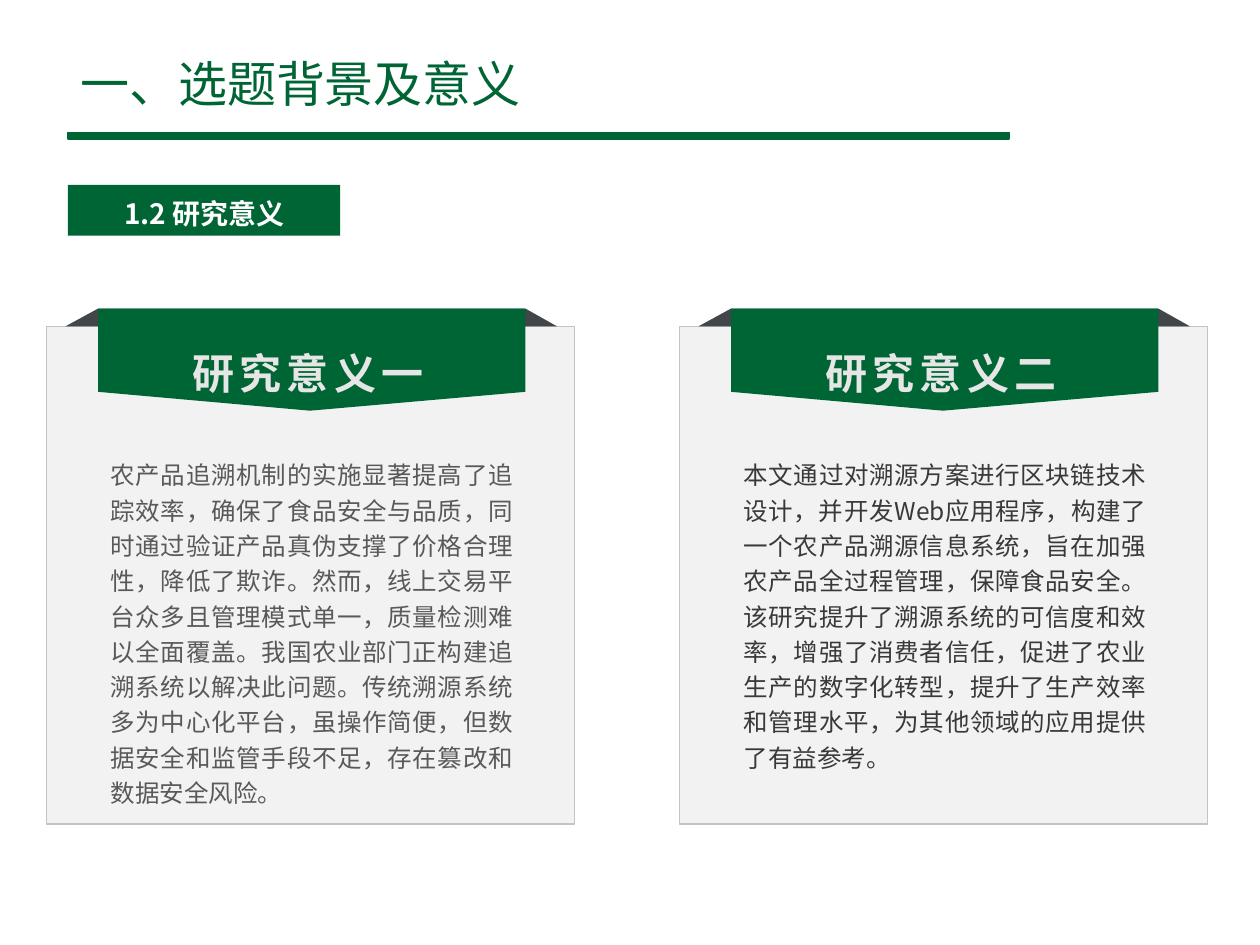
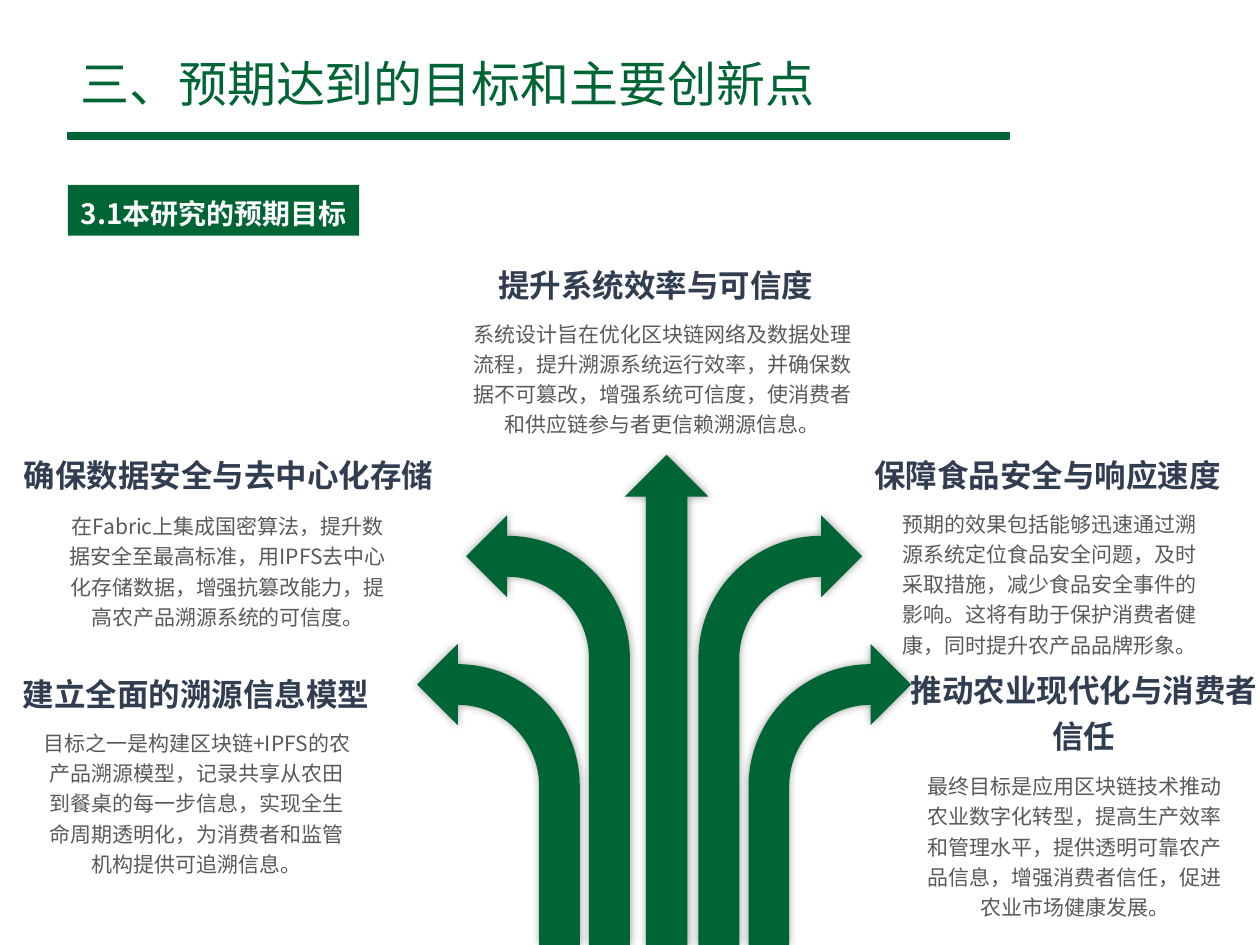
from lxml.etree import SubElement
from pptx import Presentation
from pptx.dml.color import RGBColor
from pptx.enum.shapes import MSO_SHAPE
from pptx.enum.text import MSO_ANCHOR, MSO_AUTO_SIZE, PP_ALIGN
from pptx.oxml.ns import qn
from pptx.util import Cm, Pt

FONT = "Noto Sans CJK SC"
GREEN = RGBColor(0x00, 0x65, 0x34)
WHITE = RGBColor(0xFF, 0xFF, 0xFF)
PANEL = RGBColor(0xF2, 0xF2, 0xF2)
PANEL_EDGE = RGBColor(0xC5, 0xC3, 0xC3)
FOLD = RGBColor(0x41, 0x46, 0x4A)
RIBBON_TEXT = RGBColor(0xE7, 0xE6, 0xE6)
GREY = RGBColor(0x59, 0x59, 0x59)
DARK = RGBColor(0x3B, 0x38, 0x38)
NAVY = RGBColor(0x31, 0x3D, 0x51)

SLIDE_WIDTH, SLIDE_HEIGHT = 25.4, 19.05
MARGIN = 1.37
CARD_LEFT, CARD_PITCH = 0.94, 12.76
ARROW_AXIS = 13.39

CARDS = [
    ("研究意义一", GREY, 8.66,
     "农产品追溯机制的实施显著提高了追踪效率，确保了食品安全与品质，同时通过验证产品真伪支撑了价格合理性，"
     "降低了欺诈。然而，线上交易平台众多且管理模式单一，质量检测难以全面覆盖。我国农业部门正构建追溯系统以"
     "解决此问题。传统溯源系统多为中心化平台，虽操作简便，但数据安全和监管手段不足，存在篡改和数据安全风险。"),
    ("研究意义二", DARK, 7.44,
     "本文通过对溯源方案进行区块链技术设计，并开发Web应用程序，构建了一个农产品溯源信息系统，旨在加强农产品"
     "全过程管理，保障食品安全。该研究提升了溯源系统的可信度和效率，增强了消费者信任，促进了农业生产的数字化"
     "转型，提升了生产效率和管理水平，为其他领域的应用提供了有益参考。"),
]

GOALS = [
    ("建立全面的溯源信息模型", (0.18, 13.34, 7.54, 1.17), False,
     "目标之一是构建区块链+IPFS的农产品溯源模型，记录共享从农田到餐桌的每一步信息，实现全生命周期透明化，"
     "为消费者和监管机构提供可追溯信息。", (0.56, 14.5, 6.81, 3.33)),
    ("确保数据安全与去中心化存储", (0.2, 8.92, 8.81, 1.17), False,
     "在Fabric上集成国密算法，提升数据安全至最高标准，用IPFS去中心化存储数据，增强抗篡改能力，"
     "提高农产品溯源系统的可信度。", (1.07, 10.13, 7.04, 2.72)),
    ("提升系统效率与可信度", (9.78, 5.08, 6.88, 1.17), False,
     "系统设计旨在优化区块链网络及数据处理流程，提升溯源系统运行效率，并确保数据不可篡改，增强系统可信度，"
     "使消费者和供应链参与者更信赖溯源信息。", (9.19, 6.25, 8.33, 2.72)),
    ("保障食品安全与响应速度", (17.35, 8.92, 7.54, 1.17), False,
     "预期的效果包括能够迅速通过溯源系统定位食品安全问题，及时采取措施，减少食品安全事件的影响。"
     "这将有助于保护消费者健康，同时提升农产品品牌形象。", (17.86, 10.08, 6.6, 3.33)),
    ("推动农业现代化与消费者信任", (18.08, 13.26, 7.54, 2.11), True,
     "最终目标是应用区块链技术推动农业数字化转型，提高生产效率和管理水平，提供透明可靠农产品信息，"
     "增强消费者信任，促进农业市场健康发展。", (18.26, 15.37, 6.81, 3.33)),
]


def write(frame, text, size, color, bold=False, align=None, spacing=1.2,
          tracking=0, wrap=True, grow=True):
    frame.word_wrap = wrap
    frame.auto_size = MSO_AUTO_SIZE.SHAPE_TO_FIT_TEXT if grow else MSO_AUTO_SIZE.NONE
    frame.text = text
    paragraph = frame.paragraphs[0]
    paragraph.alignment = align
    paragraph.line_spacing = spacing
    run = paragraph.runs[0]
    run.font.size = Pt(size)
    run.font.bold = bold
    run.font.color.rgb = color
    run.font.name = FONT
    properties = run.font._element
    SubElement(properties, qn("a:ea")).set("typeface", FONT)
    if tracking:
        properties.set("spc", str(tracking * 100))


def add_text(slide, box, text, size, color, **style):
    label = slide.shapes.add_textbox(*map(Cm, box))
    write(label.text_frame, text, size, color, **style)
    return label


def paint(shape, fill, edge=None, edge_width=1):
    shape.shadow.inherit = False
    shape.fill.solid()
    shape.fill.fore_color.rgb = fill
    if edge is None:
        shape.line.fill.background()
    else:
        shape.line.color.rgb = edge
        shape.line.width = Pt(edge_width)


def add_block(slide, kind, box, fill, edge=None, edge_width=1):
    block = slide.shapes.add_shape(kind, *map(Cm, box))
    paint(block, fill, edge, edge_width)
    return block


def add_outline(slide, points, fill):
    corners = [(Cm(x), Cm(y)) for x, y in points]
    builder = slide.shapes.build_freeform(*corners[0])
    builder.add_line_segments(corners[1:], close=True)
    paint(builder.convert_to_shape(), fill)


def add_header(slide, title, title_width, section, section_width):
    heading = add_text(slide, (MARGIN, 1.07, title_width, 1.22), title, 28, GREEN,
                       spacing=None, grow=False)
    heading.text_frame.vertical_anchor = MSO_ANCHOR.MIDDLE
    add_block(slide, MSO_SHAPE.RECTANGLE, (MARGIN, 2.67, 18.97, 0.13), GREEN, GREEN)
    badge = add_block(slide, MSO_SHAPE.RECTANGLE, (MARGIN, 3.73, section_width, 1.02), GREEN)
    frame = badge.text_frame
    frame.margin_left = frame.margin_right = Cm(0.18)
    frame.margin_top = frame.margin_bottom = Cm(0.1)
    frame.vertical_anchor = MSO_ANCHOR.TOP
    write(frame, section, 16, WHITE, bold=True, align=PP_ALIGN.CENTER)


def add_card(slide, left, title, color, body_height, body):
    card_top, ribbon_top, ribbon_width = 6.58, 6.22, 8.61
    ribbon_left = left + 1.04
    ribbon_right = ribbon_left + ribbon_width
    add_block(slide, MSO_SHAPE.RECTANGLE, (left, card_top, 10.64, 10.03),
              PANEL, PANEL_EDGE, 0.75)
    add_outline(slide, [(ribbon_left, ribbon_top), (ribbon_right, ribbon_top),
                        (left + 10.29, card_top), (left + 0.38, card_top)], FOLD)
    add_outline(slide, [(ribbon_left, ribbon_top), (ribbon_right, ribbon_top),
                        (ribbon_right, 7.9), (ribbon_left + 4.27, 8.28),
                        (ribbon_left, 7.9)], GREEN)
    add_text(slide, (left + 2.69, 6.68, 5.28, 1.47), title, 24, RIBBON_TEXT,
             bold=True, align=PP_ALIGN.JUSTIFY, tracking=3, wrap=False)
    add_text(slide, (ribbon_left, 9.04, ribbon_width, body_height), body, 14, color,
             align=PP_ALIGN.JUSTIFY)


def add_arrow(slide, kind, left, top, width, mirrored=False):
    arrow = add_block(slide, kind, (left, top, width, SLIDE_HEIGHT - top), GREEN)
    if kind == MSO_SHAPE.BENT_ARROW:
        for index, value in enumerate((0.25, 0.25, 0.25, 0.75)):
            arrow.adjustments[index] = value
    if mirrored:
        arrow._element.spPr.get_or_add_xfrm().set("flipH", "1")
    effects = arrow._element.spPr.find(qn("a:effectLst"))
    glow = SubElement(effects, qn("a:outerShdw"), blurRad=str(Pt(5)), dist="0", dir="0",
                      algn="ctr", rotWithShape="0")
    black = SubElement(glow, qn("a:srgbClr"), val="000000")
    SubElement(black, qn("a:alpha"), val="40000")


def add_arrow_pair(slide, gap, top, width):
    add_arrow(slide, MSO_SHAPE.BENT_ARROW, ARROW_AXIS + gap, top, width)
    add_arrow(slide, MSO_SHAPE.BENT_ARROW, ARROW_AXIS - gap - width, top, width, mirrored=True)


def add_goal(slide, title, title_box, title_wraps, body, body_box):
    add_text(slide, title_box, title, 18, NAVY, bold=True, align=PP_ALIGN.CENTER,
             wrap=title_wraps)
    add_text(slide, body_box, body, 12, GREY, align=PP_ALIGN.CENTER)


def main():
    deck = Presentation()
    deck.slide_width, deck.slide_height = Cm(SLIDE_WIDTH), Cm(SLIDE_HEIGHT)
    blank = deck.slide_layouts[6]

    significance = deck.slides.add_slide(blank)
    add_header(significance, "一、选题背景及意义", 13.41, "1.2 研究意义", 5.49)
    for index, card in enumerate(CARDS):
        add_card(significance, CARD_LEFT + index * CARD_PITCH, *card)

    goals = deck.slides.add_slide(blank)
    add_header(goals, "三、预期达到的目标和主要创新点", 15.9, "3.1本研究的预期目标", 5.87)
    add_arrow_pair(goals, 0.69, 10.39, 3.3)
    add_arrow_pair(goals, 1.7, 12.98, 3.28)
    add_arrow(goals, MSO_SHAPE.UP_ARROW, 12.6, 9.17, 1.68)
    for goal in GOALS:
        add_goal(goals, *goal)

    deck.save("out.pptx")


if __name__ == "__main__":
    main()
